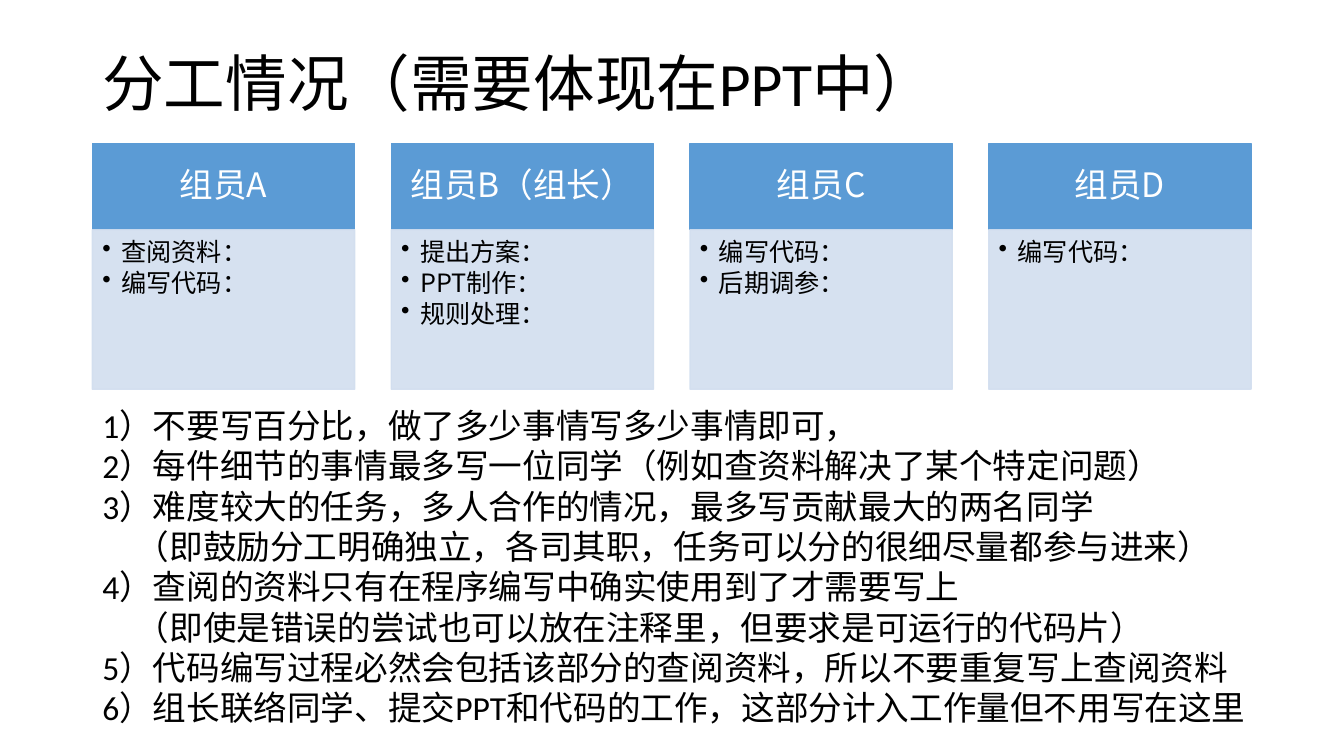
from lxml import etree
from pptx import Presentation
from pptx.dml.color import RGBColor
from pptx.enum.shapes import MSO_SHAPE
from pptx.enum.text import MSO_ANCHOR, PP_ALIGN
from pptx.oxml.ns import qn
from pptx.util import Cm, Pt

RECTANGLE = MSO_SHAPE.RECTANGLE
TOP, MIDDLE = MSO_ANCHOR.TOP, MSO_ANCHOR.MIDDLE
LEFT, CENTER = PP_ALIGN.LEFT, PP_ALIGN.CENTER

COLORS = {"header": "5B9BD5", "body": "D2DEEF", "light": "FFFFFF", "dark": "000000"}
LATIN_FONT, CJK_FONT = "Calibri", "Noto Sans CJK SC"

MEMBERS = [
    ("组员A", ["查阅资料：", "编写代码："]),
    ("组员B（组长）", ["提出方案：", "PPT制作：", "规则处理："]),
    ("组员C", ["编写代码：", "后期调参："]),
    ("组员D", ["编写代码："]),
]
RULES = [
    ("1）不要写百分比，做了多少事情写多少事情即可，", False),
    ("2）每件细节的事情最多写一位同学（例如查资料解决了某个特定问题）", False),
    ("3）难度较大的任务，多人合作的情况，最多写贡献最大的两名同学", False),
    ("（即鼓励分工明确独立，各司其职，任务可以分的很细尽量都参与进来）", True),
    ("4）查阅的资料只有在程序编写中确实使用到了才需要写上", False),
    ("（即使是错误的尝试也可以放在注释里，但要求是可运行的代码片）", True),
    ("5）代码编写过程必然会包括该部分的查阅资料，所以不要重复写上查阅资料", False),
    ("6）组长联络同学、提交PPT和代码的工作，这部分计入工作量但不用写在这里", False),
]

MARGIN = Cm(2.33)
CARD_WIDTH, CARD_PITCH = Cm(6.61), Cm(7.53)
HEADER_TOP, HEADER_HEIGHT = Cm(3.62), Cm(2.17)
BODY_HEIGHT = Cm(4.02)
BULLET_INDENT = Cm(0.48)
RULE_INDENT = Pt(24)


def rgb(color):
    return RGBColor.from_string(COLORS[color])


def set_format(target, values):
    for name, value in values.items():
        setattr(target, name, value)


class SlideBuilder:
    """Draws styled elements on one slide."""

    def __init__(self, slide):
        self.shapes = slide.shapes

    def paragraph(self, frame, text, size, color, font, **layout):
        """Fill the empty first paragraph, or append one."""
        first = frame.paragraphs[0]
        paragraph = frame.add_paragraph() if first.runs else first
        set_format(paragraph, {"alignment": LEFT, **layout})
        run = paragraph.add_run()
        run.text = text
        set_format(run.font, {"size": Pt(size), "name": font})
        run.font.color.rgb = rgb(color)
        east_asian = etree.SubElement(run.font._element, qn("a:ea"))
        east_asian.set("typeface", CJK_FONT)
        return paragraph

    def indent(self, paragraph, margin, hanging=0):
        properties = paragraph._p.get_or_add_pPr()
        properties.set("marL", str(margin))
        properties.set("indent", str(-hanging))
        return properties

    def bullet(self, paragraph):
        properties = self.indent(paragraph, BULLET_INDENT, BULLET_INDENT)
        etree.SubElement(properties, qn("a:buChar")).set("char", "•")

    def text_box(self, left, top, width, height, **frame_format):
        frame = self.shapes.add_textbox(left, top, width, height).text_frame
        set_format(frame, {"word_wrap": True, **frame_format})
        return frame

    def panel(self, left, top, height, color, opacity, insets, anchor):
        """Draw a filled rectangle and return its text frame."""
        shape = self.shapes.add_shape(RECTANGLE, left, top, CARD_WIDTH, height)
        shape.shadow.inherit = False
        shape.fill.solid()
        shape.line.fill.solid()
        shape.line.width = Pt(1)
        for fill in (shape.fill, shape.line.fill):
            fill.fore_color.rgb = rgb(color)
        if opacity < 100:
            for tint in shape._element.spPr.iter(qn("a:srgbClr")):
                etree.SubElement(tint, qn("a:alpha")).set("val", str(opacity * 1000))
        sides = ("margin_left", "margin_top", "margin_right", "margin_bottom")
        margins = {side: Cm(inset) for side, inset in zip(sides, insets)}
        set_format(shape.text_frame,
                   {"word_wrap": True, "vertical_anchor": anchor, **margins})
        return shape.text_frame

    def member_card(self, left, member, tasks):
        header = self.panel(left, HEADER_TOP, HEADER_HEIGHT, "header", 100,
                            (0.48, 0.28, 0.48, 0.28), MIDDLE)
        self.paragraph(header, member, 24, "light", CJK_FONT,
                       alignment=CENTER, line_spacing=0.9)
        body = self.panel(left, HEADER_TOP + HEADER_HEIGHT, BODY_HEIGHT, "body", 90,
                          (0.25, 0.25, 0.36, 0.41), TOP)
        for task in tasks:
            self.bullet(self.paragraph(body, task, 18, "dark", CJK_FONT,
                                       line_spacing=0.9, space_after=Pt(2.7)))

    def title(self, text):
        frame = self.text_box(MARGIN, Cm(1.02), Cm(29.21), Cm(2.34),
                              vertical_anchor=MIDDLE)
        self.paragraph(frame, text, 44, "dark", LATIN_FONT, line_spacing=0.9)

    def rule_list(self, rules):
        frame = self.text_box(MARGIN, Cm(10.08), Cm(30.45), Cm(8.46), word_wrap=False)
        for text, continued in rules:
            paragraph = self.paragraph(frame, text, 24, "dark", LATIN_FONT)
            if continued:
                self.indent(paragraph, RULE_INDENT)


def main():
    deck = Presentation()
    set_format(deck, {"slide_width": Cm(33.87), "slide_height": Cm(19.05)})
    builder = SlideBuilder(deck.slides.add_slide(deck.slide_layouts[6]))
    builder.title("分工情况（需要体现在PPT中）")
    for column, (member, tasks) in enumerate(MEMBERS):
        builder.member_card(MARGIN + column * CARD_PITCH, member, tasks)
    builder.rule_list(RULES)
    deck.save("out.pptx")


if __name__ == "__main__":
    main()
